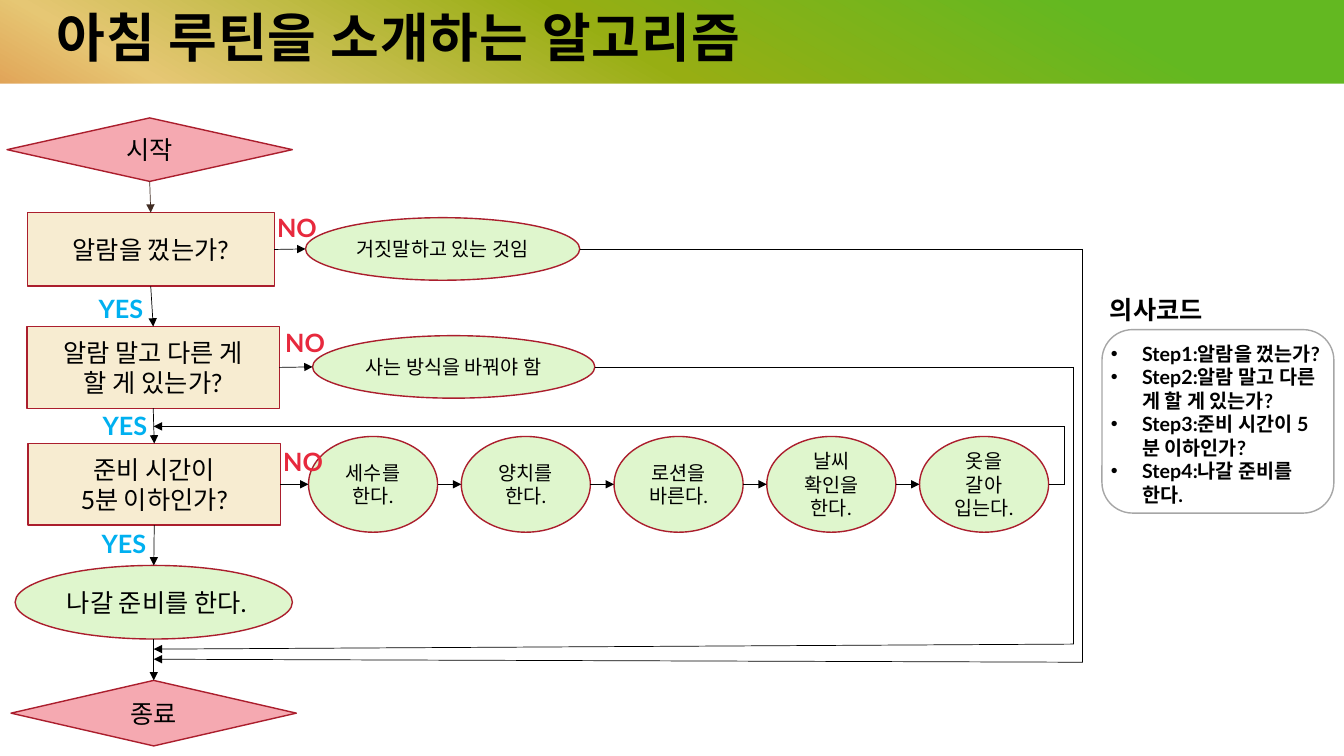
from dataclasses import dataclass
from itertools import pairwise

from lxml import etree
from pptx import Presentation
from pptx.dml.color import RGBColor
from pptx.enum.shapes import MSO_CONNECTOR, MSO_SHAPE
from pptx.enum.text import MSO_ANCHOR, PP_ALIGN
from pptx.oxml.ns import qn
from pptx.util import Inches, Pt

RECT, ROUND = MSO_SHAPE.RECTANGLE, MSO_SHAPE.ROUNDED_RECTANGLE
DIAMOND, OVAL = MSO_SHAPE.DIAMOND, MSO_SHAPE.OVAL
STRAIGHT = MSO_CONNECTOR.STRAIGHT
LEFT, CENTER = PP_ALIGN.LEFT, PP_ALIGN.CENTER
TOP, MIDDLE = MSO_ANCHOR.TOP, MSO_ANCHOR.MIDDLE
SLIDE_W, SLIDE_H = Inches(13.33), Inches(7.5)
ROWS = 75
CELL = SLIDE_H / ROWS
COLS = SLIDE_W / CELL


@dataclass(frozen=True)
class Theme:
    font: str = "Lato"
    title: float = 37.8
    body: float = 18
    small: float = 14
    ink: str = "000000"
    paper: str = "FFFFFF"
    border: str = "AB1E2D"
    terminal: str = "F5A9B1"
    question: str = "F7ECD1"
    action: str = "DFF6CD"
    first_arrow: str = "412D24"
    no: str = "E7293D"
    yes: str = "00B0F0"
    panel: str = "A6A6A6"
    gradient: tuple = ((10, "63B821"), (30, "97AE13"), (50, "E6C774"),
                       (70, "D55317"), (90, "E7293D"))


@dataclass(frozen=True)
class Box:
    x: float
    y: float
    w: float
    h: float

    def sub(self, x, y, w, h):
        return Box(self.x + x, self.y + y, w, h)

    def emu(self):
        return [round(v * CELL) for v in (self.x, self.y, self.w, self.h)]

    def point(self, fx, fy):
        return self.x + self.w * fx, self.y + self.h * fy

    def top(self):
        return self.point(0.5, 0)

    def bottom(self):
        return self.point(0.5, 1)

    def left(self):
        return self.point(0, 0.5)

    def right(self):
        return self.point(1, 0.5)


T = Theme()


def write(sp, text, size=T.body, color=T.ink, bold=False, align=LEFT,
          anchor=TOP, bullet=False, spacing=None, track=None):
    tf = sp.text_frame
    tf.word_wrap = True
    tf.vertical_anchor = anchor
    for i, line in enumerate(text.split("\n")):
        p = tf.add_paragraph() if i else tf.paragraphs[0]
        p.alignment = align
        if spacing:
            p.line_spacing = spacing
        r = p.add_run()
        r.text = line
        r.font.name, r.font.size, r.font.bold = T.font, Pt(size), bold
        r.font.color.rgb = RGBColor.from_string(color)
        if track:
            r.font._element.set("spc", str(track))
        if bullet:
            pPr = p._p.get_or_add_pPr()
            indent = Inches(0.31)
            pPr.set("marL", str(indent))
            pPr.set("indent", str(-indent))
            etree.SubElement(pPr, qn("a:buFont")).set("typeface", "Arial")
            etree.SubElement(pPr, qn("a:buChar")).set("char", "•")
    return tf


def add_label(slide, box, text, **fmt):
    return write(slide.shapes.add_textbox(*box.emu()), text, **fmt)


def add_shape(slide, kind, box, fill=None, line=None):
    sp = slide.shapes.add_shape(kind, *box.emu())
    sp.shadow.inherit = False
    if fill:
        sp.fill.solid()
        sp.fill.fore_color.rgb = RGBColor.from_string(fill)
    else:
        sp.fill.background()
    if line:
        sp.line.color.rgb = RGBColor.from_string(line)
        sp.line.width = Pt(1)
    else:
        sp.line.fill.background()
    return sp


def add_node(slide, kind, box, text, fill, size=T.body):
    sp = add_shape(slide, kind, box, fill, T.border)
    write(sp, text, size=size, align=CENTER, anchor=MIDDLE)
    return box


def add_route(slide, *points, color=T.ink, arrow=True):
    for start, end in pairwise(points):
        ends = [round(v * CELL) for v in (*start, *end)]
        cx = slide.shapes.add_connector(STRAIGHT, *ends)
        cx.line.color.rgb = RGBColor.from_string(color)
        cx.line.width = Pt(0.5)
        if arrow and end == points[-1]:
            ln = cx.line._get_or_add_ln()
            etree.SubElement(ln, qn("a:tailEnd")).set("type", "triangle")
        etree.SubElement(cx._element.spPr, qn("a:effectLst"))


def build_header(slide, box):
    sp = add_shape(slide, RECT, box)
    sp.fill.gradient()
    sp.fill.gradient_angle = 240
    stops = sp._element.spPr.find(qn("a:gradFill")).find(qn("a:gsLst"))
    for stop in list(stops):
        stops.remove(stop)
    for pos, color in T.gradient:
        gs = etree.SubElement(stops, qn("a:gs"))
        gs.set("pos", str(pos * 1000))
        etree.SubElement(gs, qn("a:srgbClr")).set("val", color)
    add_shape(slide, RECT, box.sub(0, 8.3, box.w, box.h - 8.3), T.paper)
    tf = add_label(slide, box.sub(4.4, 0, 101.7, 5.8), "아침 루틴을 소개하는 알고리즘",
                   size=T.title, bold=True, spacing=0.9, track=70)
    tf.margin_left = tf.margin_right = tf.margin_top = Inches(0.12)
    tf.margin_bottom = Inches(0.1)


def build_flow(slide, box):
    spine = [add_node(slide, kind, box.sub(*place), text, fill)
             for kind, place, text, fill in (
                 (DIAMOND, (0.7, 0.7, 28.3, 6.3), "시작", T.terminal),
                 (RECT, (2.7, 10.1, 24.5, 7.3), "알람을 껐는가?", T.question),
                 (RECT, (2.7, 21.4, 25, 8.1), "알람 말고 다른 게\n할 게 있는가?", T.question),
                 (RECT, (2.8, 33, 25, 8.1), "준비 시간이\n5분 이하인가?", T.question),
                 (OVAL, (1.5, 45.1, 27.5, 7.3), "나갈 준비를 한다.", T.action),
                 (DIAMOND, (1.1, 56.5, 28.3, 6.5), "종료", T.terminal))]
    for i, (upper, lower) in enumerate(pairwise(spine)):
        add_route(slide, upper.bottom(), lower.top(),
                  color=T.ink if i else T.first_arrow)

    lie = add_node(slide, OVAL, box.sub(30.3, 10.6, 27.2, 6.2),
                   "거짓말하고 있는 것임", T.action, T.small)
    change = add_node(slide, OVAL, box.sub(31, 22.3, 28, 6.2),
                      "사는 방식을 바꿔야 함", T.action, T.small)
    steps = [add_node(slide, OVAL, box.sub(30.6 + 15.15 * i, 32.3, 12.8, 9.5),
                      text, T.action, T.small)
             for i, text in enumerate(("세수를\n한다.", "양치를\n한다.", "로션을\n바른다.",
                                       "날씨\n확인을 한다.", "옷을\n갈아\n입는다."))]
    _, alarm, other, ready, _, _ = spine
    for a, b in ((alarm, lie), (other, change), (ready, steps[0]), *pairwise(steps)):
        add_route(slide, a.right(), b.left())

    merge_x = spine[-1].top()[0]
    for source, turn_x, turn_y, merge_y in ((lie, 107.4, 54.7, 54.4),
                                            (change, 106.5, 52.9, 53.4),
                                            (steps[-1], 105.6, 31.3, 31.3)):
        start = source.right()
        add_route(slide, start, (box.x + turn_x, start[1]),
                  (box.x + turn_x, box.y + turn_y), (merge_x, box.y + merge_y))

    for text, color, width, places in (
            ("NO", T.no, 7.3, ((26.5, 9.6), (27.3, 21), (27.1, 32.8))),
            ("YES", T.yes, 7.9, ((8.8, 17.6), (9.2, 29.2), (9.1, 40.9)))):
        for x, y in places:
            add_label(slide, box.sub(x, y, width, 4), text, color=color, bold=True)


def build_pseudocode(slide, box):
    add_label(slide, box.sub(0, 0, 12.3, 4), "의사코드", bold=True)
    add_label(slide, box.sub(0.1, 4.7, 22.7, 17.5),
              "Step1:알람을 껐는가?\nStep2:알람 말고 다른 게 할 게 있는가?\n"
              "Step3:준비 시간이 5분 이하인가?\nStep4:나갈 준비를 한다.",
              size=T.small, bold=True, bullet=True)
    add_shape(slide, ROUND, box.sub(0.2, 4, 23, 18.2), line=T.panel)


prs = Presentation()
prs.slide_width, prs.slide_height = SLIDE_W, SLIDE_H
slide = prs.slides.add_slide(prs.slide_layouts[6])
build_header(slide, Box(0, 0, COLS, ROWS))
build_flow(slide, Box(0, 11, 108, 64))
build_pseudocode(slide, Box(109.1, 28.7, 23.2, 22.2))
prs.save("out.pptx")
